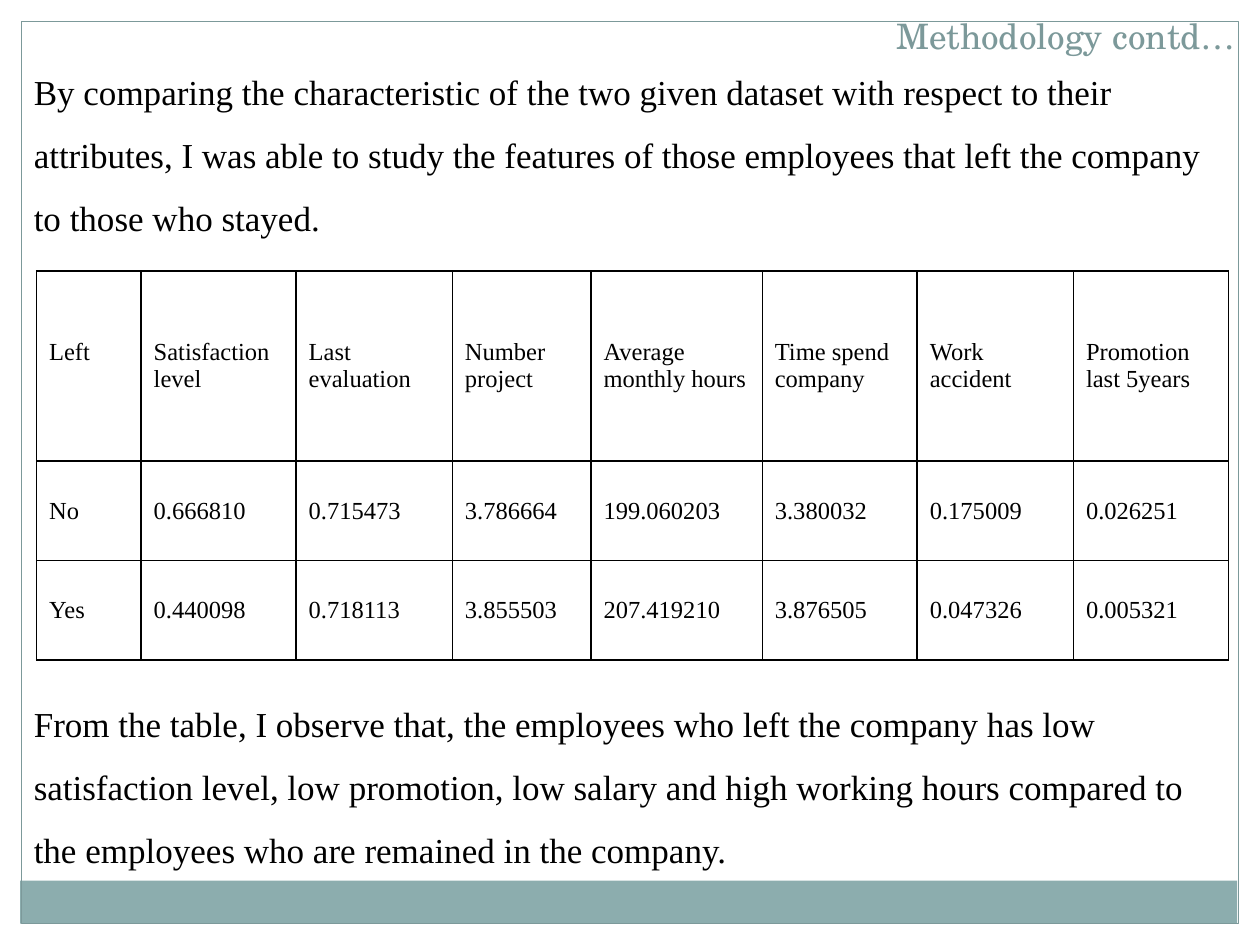
from dataclasses import dataclass

from lxml import etree
from pptx import Presentation
from pptx import util as u
from pptx.dml.color import RGBColor
from pptx.enum import shapes, text
from pptx.oxml import ns


@dataclass(frozen=True)
class Theme:
    accent: str = "7C999A"
    band: str = "8CADAE"
    margin: str = "FFFFFF"
    ink: str = "000000"
    title_font: str = "TeX Gyre Schola"
    body_font: str = "Times New Roman"
    text_size: int = 20
    table_size: int = 14
    border_width: int = 1


class SlideBuilder:
    def __init__(self, slide, theme):
        self.slide = slide
        self.theme = theme

    def place(self, left, top, width, height):
        return [u.Inches(value) for value in (left, top, width, height)]

    def style(self, text_frame, font_name, size, color):
        for paragraph in text_frame.paragraphs:
            for run in paragraph.runs:
                run.font.name = font_name
                run.font.size = u.Pt(size)
                run.font.bold = False
                run.font.color.rgb = RGBColor.from_string(color)

    def rectangle(self, box, fill=None, line=None):
        shape = self.slide.shapes.add_shape(shapes.MSO_SHAPE.RECTANGLE, *self.place(*box))
        shape.shadow.inherit = False
        if fill:
            shape.fill.solid()
            shape.fill.fore_color.rgb = RGBColor.from_string(fill)
        else:
            shape.fill.background()
        if line:
            shape.line.color.rgb = RGBColor.from_string(line)
            shape.line.width = u.Pt(0.75)
        else:
            shape.line.fill.background()

    def title(self, box, wording):
        shape = self.slide.shapes.title
        shape.left, shape.top, shape.width, shape.height = self.place(*box)
        self.slide.shapes._spTree.append(shape._element)
        frame = shape.text_frame
        frame.text = wording
        frame.auto_size = text.MSO_AUTO_SIZE.NONE
        frame.vertical_anchor = text.MSO_ANCHOR.BOTTOM
        frame.paragraphs[0].alignment = text.PP_ALIGN.RIGHT
        self.style(frame, self.theme.title_font, self.theme.text_size, self.theme.accent)

    def paragraph(self, box, wording):
        frame = self.slide.shapes.add_textbox(*self.place(*box)).text_frame
        frame.word_wrap = True
        frame.auto_size = text.MSO_AUTO_SIZE.SHAPE_TO_FIT_TEXT
        frame.text = wording
        frame.paragraphs[0].line_spacing = 1.5
        self.style(frame, self.theme.body_font, self.theme.text_size, self.theme.ink)

    def borders(self, cell):
        properties = cell._tc.get_or_add_tcPr()
        for position, side in enumerate(("lnL", "lnR", "lnT", "lnB")):
            line = etree.Element(ns.qn(f"a:{side}"), w=str(u.Pt(self.theme.border_width)))
            fill = etree.SubElement(line, ns.qn("a:solidFill"))
            etree.SubElement(fill, ns.qn("a:srgbClr"), val=self.theme.ink)
            properties.insert(position, line)

    def table(self, left, top, widths, heights, rows):
        box = self.place(left, top, sum(widths), sum(heights))
        table = self.slide.shapes.add_table(len(heights), len(widths), *box).table
        table.first_row = table.horz_banding = False
        for column, width in zip(table.columns, widths):
            column.width = u.Inches(width)
        for row, height, values in zip(table.rows, heights, rows):
            row.height = u.Inches(height)
            for cell, value in zip(row.cells, values):
                cell.text_frame.text = value
                cell.vertical_anchor = text.MSO_ANCHOR.MIDDLE
                cell.fill.background()
                self.style(cell.text_frame, self.theme.body_font,
                           self.theme.table_size, self.theme.ink)
                self.borders(cell)
        return table


presentation = Presentation()
presentation.slide_width = u.Inches(10)
presentation.slide_height = u.Inches(7.5)
theme = Theme()
builder = SlideBuilder(presentation.slides.add_slide(presentation.slide_layouts[5]), theme)

for margin in ((0, 0, 10, 0.17), (9.83, 0, 0.17, 7.5), (0, 0, 0.17, 7.5)):
    builder.rectangle(margin, fill=theme.margin)
builder.rectangle((0.16, 6.99, 9.66, 0.34), fill=theme.band)
builder.rectangle((0.17, 0.17, 9.66, 7.16), line=theme.accent)
builder.title((0.58, -0.33, 9.33, 0.83), "Methodology contd…")
builder.paragraph(
    (0.17, 0.34, 9.67, 1.62),
    "By comparing the characteristic of the two given dataset with respect to their "
    "attributes, I was able to study the features of those employees that left the "
    "company to those who stayed.")
comparison = builder.table(
    0.29, 2.15,
    [0.83, 1.23, 1.24, 1.1, 1.36, 1.23, 1.24, 1.23],
    [1.51, 0.79, 0.79],
    [
        ["Left", "Satisfaction level", "Last evaluation", "Number project",
         "Average monthly hours", "Time spend company", "Work  accident",
         "Promotion last 5years"],
        ["No", "0.666810", "0.715473", "3.786664", "199.060203", "3.380032",
         "0.175009", "0.026251"],
        ["Yes", "0.440098", "0.718113", "3.855503", "207.419210", "3.876505",
         "0.047326", "0.005321"],
    ])
comparison.cell(0, 0).margin_bottom = u.Inches(0.27)
builder.paragraph(
    (0.17, 5.36, 9.67, 1.6),
    "From the table, I observe that, the employees who left the company has low "
    "satisfaction level, low promotion, low salary and high working hours compared to "
    "the employees who are remained in the company.")

presentation.save("out.pptx")
